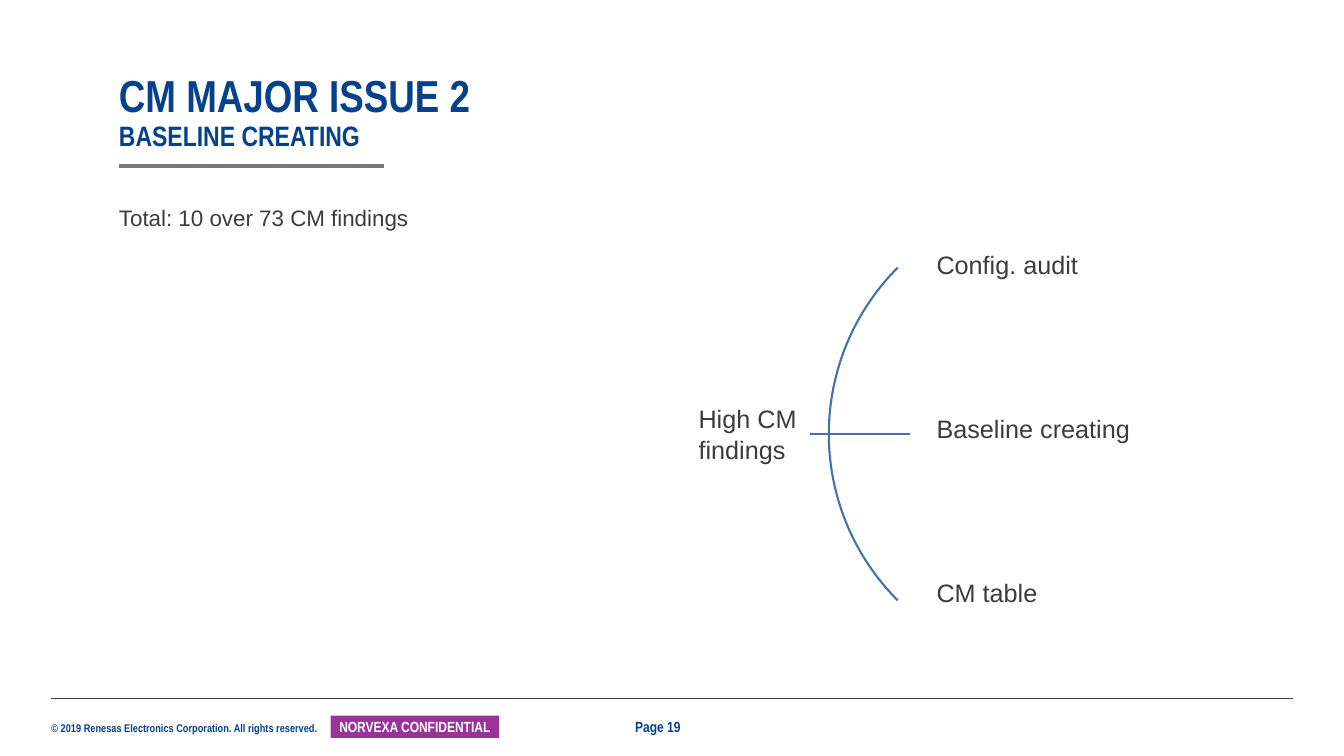
import pptx
import pptx.util
import pptx.dml.color
import pptx.enum.shapes
import pptx.enum.text
import pptx.oxml
import pptx.oxml.ns

Inches = pptx.util.Inches
Pt = pptx.util.Pt
RGBColor = pptx.dml.color.RGBColor
Anchor = pptx.enum.text.MSO_ANCHOR
Align = pptx.enum.text.PP_ALIGN
Shapes = pptx.enum.shapes.MSO_SHAPE

NAVY = RGBColor(0x06, 0x41, 0x8C)
INK = RGBColor(0x3C, 0x3C, 0x3B)
GRAY = RGBColor(0x79, 0x79, 0x79)
BLUE = RGBColor(0x44, 0x71, 0xA9)
PURPLE = RGBColor(0x99, 0x33, 0x99)
WHITE = RGBColor(0xFF, 0xFF, 0xFF)

HEADING = {"name": "Arial Narrow", "size": Pt(32), "bold": True}
SUBHEADING = {**HEADING, "size": Pt(20)}
PAGE_TEXT = {**HEADING, "size": Pt(10.5)}
COPYRIGHT = {**HEADING, "size": Pt(8)}
BODY = {"name": "Arial", "size": Pt(16), "bold": False}
LABEL = {**BODY, "size": Pt(18)}


def apply(target, values):
    for name, value in values.items():
        setattr(target, name, value)


def set_frame(frame, margins=(0, 0, 0, 0), anchor=Anchor.TOP, wrap=True):
    names = ("margin_left", "margin_top", "margin_right", "margin_bottom")
    apply(frame, {name: Inches(margin) for name, margin in zip(names, margins)})
    apply(frame, {
        "auto_size": pptx.enum.text.MSO_AUTO_SIZE.NONE,
        "vertical_anchor": anchor,
        "word_wrap": wrap,
    })


def add_run(paragraph, text, style, color):
    run = paragraph.add_run()
    run.text = text
    apply(run.font, style)
    run.font.color.rgb = color


def add_text(slide, box, text, style, color, **frame_format):
    shape = slide.shapes.add_textbox(*map(Inches, box))
    set_frame(shape.text_frame, **frame_format)
    paragraph = shape.text_frame.paragraphs[0]
    add_run(paragraph, text, style, color)
    return paragraph


def add_line(slide, left, top, width, color, weight):
    line = slide.shapes.add_connector(
        pptx.enum.shapes.MSO_CONNECTOR.STRAIGHT,
        Inches(left), Inches(top), Inches(left + width), Inches(top))
    line.line.color.rgb = color
    line.line.width = Pt(weight)
    properties = line._element.spPr
    properties.append(pptx.oxml.parse_xml(
        "<a:effectLst %s/>" % pptx.oxml.ns.nsdecls("a")))


def add_footer(slide, left, top, width):
    add_line(slide, left, top, width, INK, 0.5)
    add_text(slide, (left, top + 0.23, 2.75, 0.13),
             "© 2019 Renesas Electronics Corporation. All rights reserved.",
             COPYRIGHT, NAVY, wrap=False)
    badge = slide.shapes.add_shape(
        Shapes.RECTANGLE, *map(Inches, (left + 2.77, top + 0.17, 1.67, 0.22)))
    badge.shadow.inherit = False
    badge.fill.solid()
    badge.fill.fore_color.rgb = PURPLE
    badge.line.fill.background()
    set_frame(badge.text_frame, margins=(0.04, 0, 0.04, 0), anchor=Anchor.MIDDLE)
    paragraph = badge.text_frame.paragraphs[0]
    paragraph.alignment = Align.CENTER
    add_run(paragraph, "NORVEXA CONFIDENTIAL", PAGE_TEXT, WHITE)
    add_text(slide, (left + 5.79, top + 0.19, 0.73, 0.18), "Page 19",
             PAGE_TEXT, NAVY, anchor=Anchor.MIDDLE)


def add_heading(slide, left, top, width, height):
    title = slide.shapes.title
    apply(title, {"left": Inches(left), "top": Inches(top),
                  "width": Inches(width), "height": Inches(height)})
    set_frame(title.text_frame, anchor=Anchor.BOTTOM)
    paragraph = title.text_frame.paragraphs[0]
    apply(paragraph, {"alignment": Align.LEFT, "line_spacing": 0.9})
    add_run(paragraph, "CM MAJOR ISSUE 2", HEADING, NAVY)
    paragraph.add_line_break()
    add_run(paragraph, "BASELINE CREATING", SUBHEADING, NAVY)
    add_line(slide, left, top + height + 0.14, 2.63, GRAY, 3)


def add_summary(slide, left, top, width, height):
    paragraph = add_text(slide, (left, top, width, height),
                         "Total: 10 over 73 CM findings", BODY, INK)
    apply(paragraph, {"line_spacing": 1.2, "space_after": Pt(8)})


def add_findings(slide, left, top, diameter):
    middle = top + diameter / 2
    margins = (0.1, 0.05, 0.1, 0.05)
    add_text(slide, (left, middle - 0.35, 1.78, 0.71), "High CM findings",
             LABEL, INK, margins=margins)
    arc = slide.shapes.add_shape(
        Shapes.ARC, *map(Inches, (left + 1.39, top, diameter, diameter)))
    arc.rotation = 225
    arc.shadow.inherit = False
    arc.fill.background()
    arc.line.color.rgb = BLUE
    arc.line.width = Pt(1.5)
    add_line(slide, left + 1.2, middle, 1, BLUE, 1.5)
    for row, text in enumerate(("Config. audit", "Baseline creating", "CM table")):
        add_text(slide, (left + 2.36, top + 0.45 + row * 1.63, 2.25, 0.4), text,
                 LABEL, INK, margins=margins)


def main():
    presentation = pptx.Presentation()
    apply(presentation, {"slide_width": Inches(13.33), "slide_height": Inches(7.5)})
    slide = presentation.slides.add_slide(presentation.slide_layouts[5])
    add_footer(slide, 0.51, 6.93, 12.31)
    add_heading(slide, 1.18, 0.72, 9.84, 0.79)
    add_summary(slide, 1.18, 1.97, 5.12, 0.32)
    add_findings(slide, 6.83, 1.97, 4.67)
    presentation.save("out.pptx")


if __name__ == "__main__":
    main()
